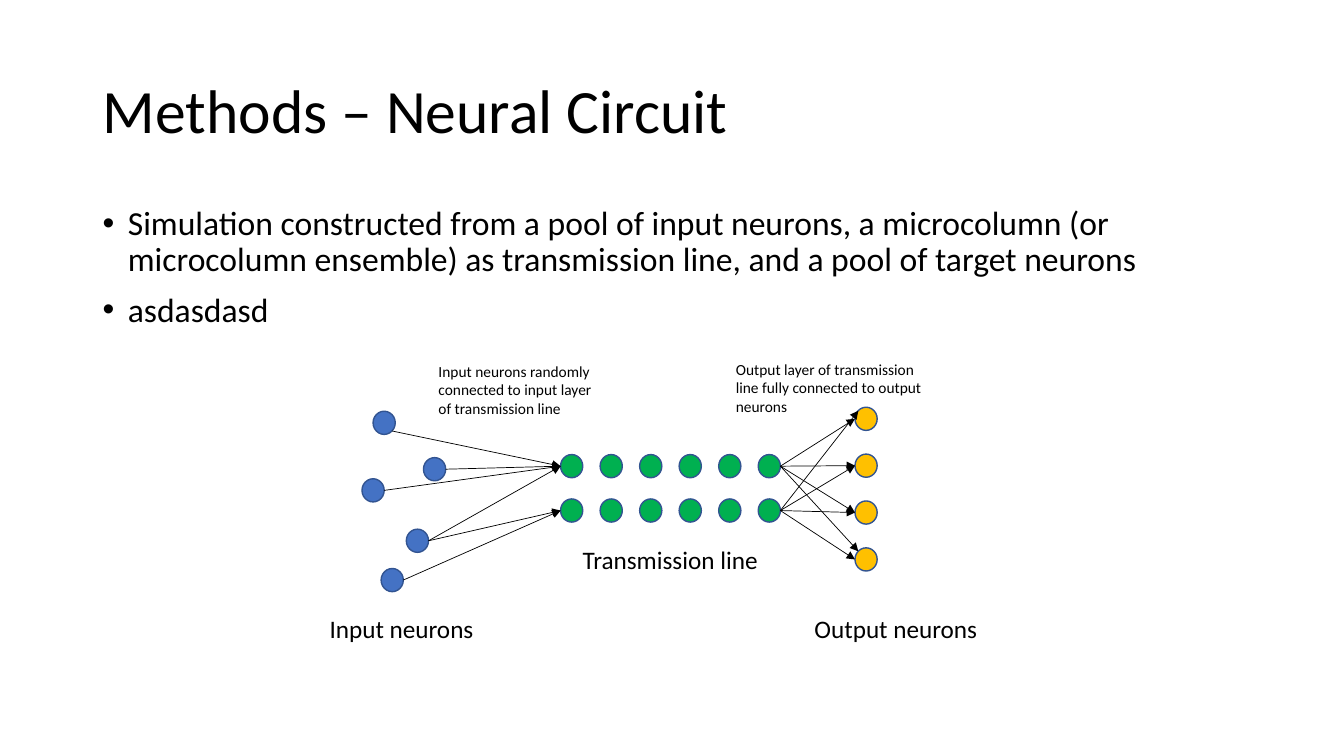
from lxml import etree
from pptx import Presentation
from pptx.dml.color import RGBColor
from pptx.enum.shapes import MSO_CONNECTOR, MSO_SHAPE
from pptx.enum.text import MSO_ANCHOR, PP_ALIGN
from pptx.oxml.ns import qn
from pptx.util import Pt

EMU_PER_PX = 9144  # 100 px to the inch
FONT = "Calibri"
BLACK = RGBColor(0x00, 0x00, 0x00)
BLUE = RGBColor(0x44, 0x72, 0xC4)
GREEN = RGBColor(0x00, 0xB0, 0x50)
AMBER = RGBColor(0xFF, 0xC0, 0x00)
OUTLINE = RGBColor(0x32, 0x54, 0x91)

NEURON_WIDTH, NEURON_HEIGHT = 22, 23
# Points on a neuron, as fractions of its width and height
LEFT, RIGHT = (0, 0.5), (1, 0.5)
TOP_LEFT, BOTTOM_RIGHT = (0.15, 0.15), (0.85, 0.85)

INPUT_OFFSETS = [(53, 56), (42, 123), (103, 102), (86, 173), (61, 212)]
LINE_COLUMNS, LINE_ROWS, OUTPUT_COUNT = 6, 2, 4
# Input neuron, transmission row, starting point on the input neuron
INPUT_LINKS = [
    (2, 0, RIGHT), (3, 0, RIGHT), (3, 1, RIGHT),
    (0, 0, BOTTOM_RIGHT), (1, 0, RIGHT), (4, 1, RIGHT),
]
# Links whose arrow ends on the upper left of the output neuron
STEEP_LINKS = {(0, 3), (1, 0)}


def px(length):
    return round(length * EMU_PER_PX)


def place(shape, left, top, width, height):
    shape.left, shape.top = px(left), px(top)
    shape.width, shape.height = px(width), px(height)


def format_runs(paragraph, size):
    paragraph.alignment = PP_ALIGN.LEFT
    for run in paragraph.runs:
        run.font.name = FONT
        run.font.size = Pt(size)
        run.font.color.rgb = BLACK


def add_text(slide, box, text, size, wrap=True):
    shape = slide.shapes.add_textbox(*map(px, box))
    frame = shape.text_frame
    frame.word_wrap = wrap
    frame.text = text
    for paragraph in frame.paragraphs:
        format_runs(paragraph, size)
    return frame


def add_title(slide, box, text):
    title = slide.shapes.title
    place(title, *box)
    frame = title.text_frame
    frame.text = text
    frame.vertical_anchor = MSO_ANCHOR.MIDDLE
    paragraph = frame.paragraphs[0]
    paragraph.line_spacing = 0.9
    format_runs(paragraph, 44)


def add_bullets(slide, box, items):
    frame = add_text(slide, box, "\n".join(items), 24)
    for paragraph in frame.paragraphs:
        paragraph.line_spacing = 0.9
        paragraph.space_before = Pt(10)
        properties = paragraph._p.get_or_add_pPr()
        properties.set("marL", str(px(25)))
        properties.set("indent", str(px(-25)))
        etree.SubElement(properties, qn("a:buFont"), typeface="Arial")
        etree.SubElement(properties, qn("a:buChar"), char="•")


def add_neuron(shapes, left, top, color):
    neuron = shapes.add_shape(
        MSO_SHAPE.OVAL, px(left), px(top), px(NEURON_WIDTH), px(NEURON_HEIGHT))
    neuron.shadow.inherit = False
    neuron.fill.solid()
    neuron.fill.fore_color.rgb = color
    neuron.line.color.rgb = OUTLINE
    neuron.line.width = Pt(1)
    return left, top


def add_arrow(slide, source, source_point, target, target_point):
    """Join two neurons, given by their corners, at points on their outlines."""
    ends = [
        px(corner + fraction * size)
        for neuron, point in ((source, source_point), (target, target_point))
        for corner, fraction, size in zip(neuron, point, (NEURON_WIDTH, NEURON_HEIGHT))
    ]
    arrow = slide.shapes.add_connector(MSO_CONNECTOR.STRAIGHT, *ends)
    arrow.line.color.rgb = BLACK
    arrow.line.width = Pt(0.5)
    etree.SubElement(arrow.line._get_or_add_ln(), qn("a:tailEnd"), type="triangle")
    etree.SubElement(arrow._element.spPr, qn("a:effectLst"))


def add_circuit(slide, left, top):
    inputs = [add_neuron(slide.shapes, left + x, top + y, BLUE) for x, y in INPUT_OFFSETS]
    line_shapes = slide.shapes.add_group_shape().shapes
    columns = [
        [add_neuron(line_shapes, left + 239 + 39.2 * column, top + 99 + 44 * row, GREEN)
         for row in range(LINE_ROWS)]
        for column in range(LINE_COLUMNS)
    ]
    output_shapes = slide.shapes.add_group_shape().shapes
    outputs = [
        add_neuron(output_shapes, left + 531, top + 52 + 46.5 * row, AMBER)
        for row in range(OUTPUT_COUNT)
    ]

    for source, row, point in INPUT_LINKS:
        add_arrow(slide, inputs[source], point, columns[0][row], LEFT)
    for row, source in enumerate(columns[-1]):
        for index, target in enumerate(outputs):
            point = TOP_LEFT if (row, index) in STEEP_LINKS else LEFT
            add_arrow(slide, source, RIGHT, target, point)

    for x, y, width, text in (
        (0, 252, 165, "Input neurons"),
        (251, 183, 196, "Transmission line"),
        (481, 252, 184, "Output neurons"),
    ):
        add_text(slide, (left + x, top + y, width, 40), text, 18, wrap=False)
    for x, y, width, text in (
        (108, 2, 179, "Input neurons randomly connected to input layer of transmission line"),
        (403, 0, 210, "Output layer of transmission line fully connected to output neurons"),
    ):
        add_text(slide, (left + x, top + y, width, 66), text, 11)


def main():
    presentation = Presentation()
    presentation.slide_width, presentation.slide_height = px(1333), px(750)
    slide = presentation.slides.add_slide(presentation.slide_layouts.get_by_name("Title Only"))
    add_title(slide, (92, 40, 767, 145), "Methods – Neural Circuit")
    add_bullets(slide, (92, 200, 1150, 147), [
        "Simulation constructed from a pool of input neurons, a microcolumn "
        "(or microcolumn ensemble) as transmission line, and a pool of target neurons",
        "asdasdasd",
    ])
    add_circuit(slide, 317, 352)
    presentation.save("out.pptx")


if __name__ == "__main__":
    main()
